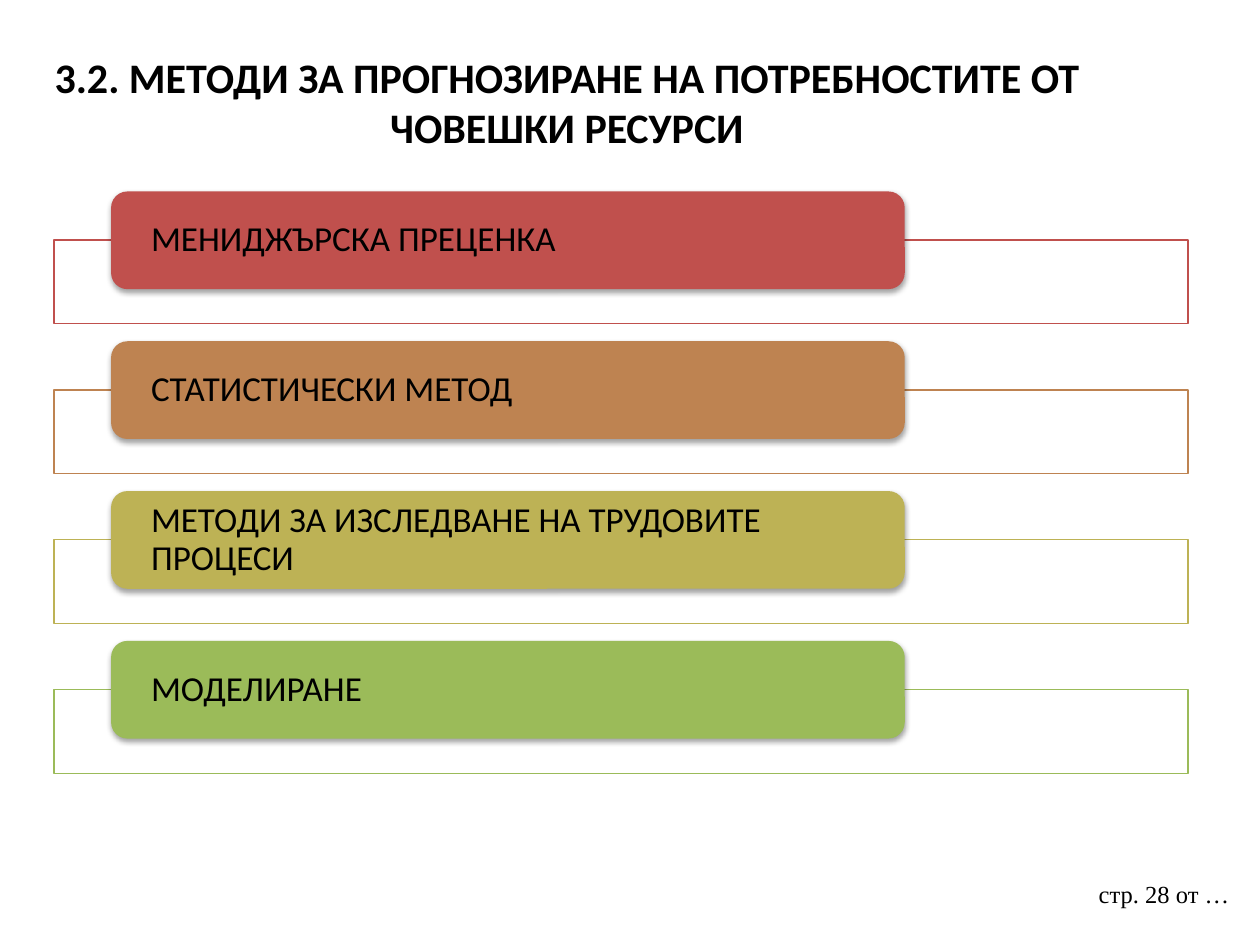
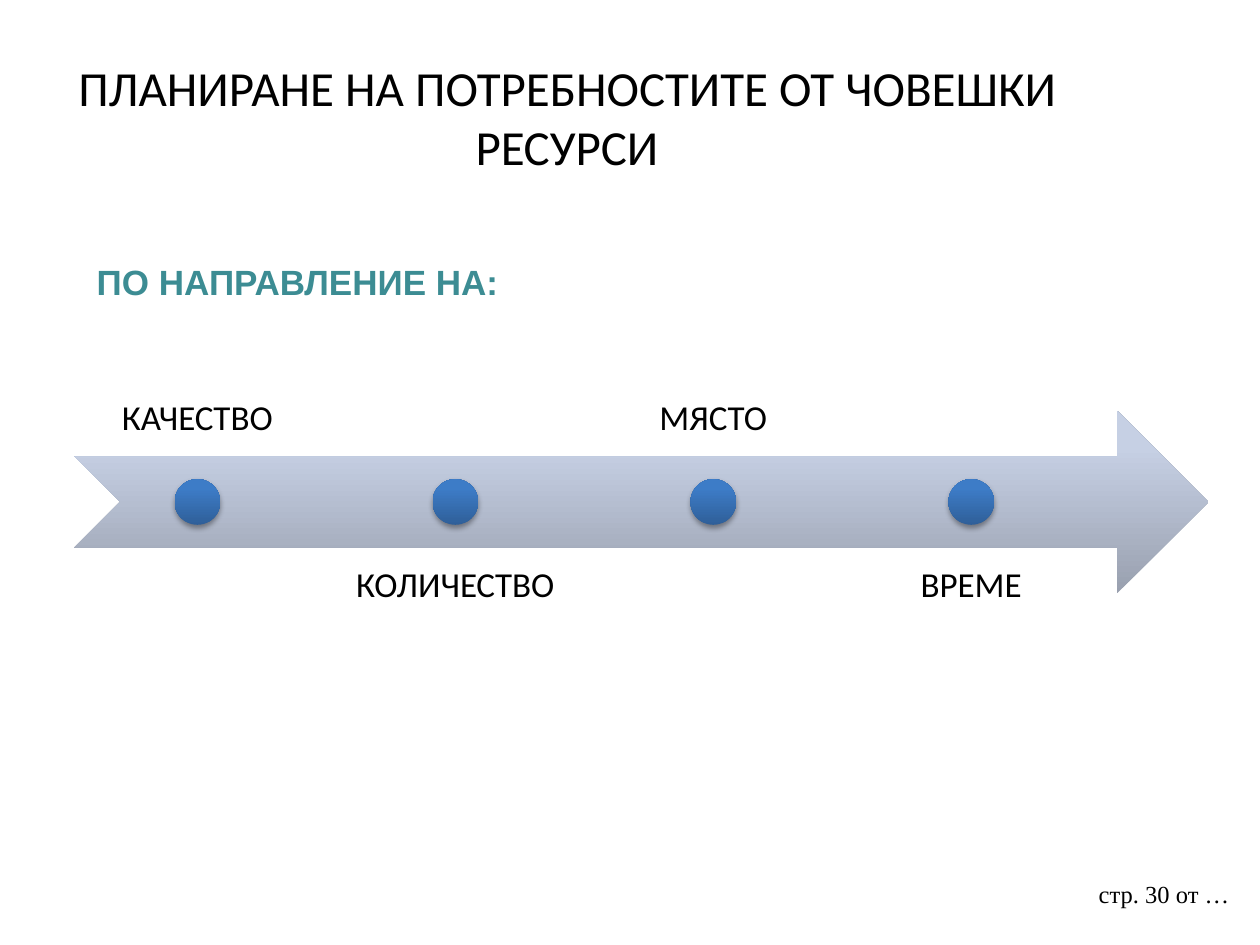
from pptx import Presentation
from pptx.util import Cm, Pt
from pptx.dml.color import RGBColor
from pptx.enum.shapes import MSO_SHAPE as Kind
from pptx.enum.text import MSO_ANCHOR as Anchor, PP_ALIGN as Align
from pptx.oxml import parse_xml

SHADE = ('<a:effectLst xmlns:a="http://schemas.openxmlformats.org/drawingml/2006/main">'
         '<a:outerShdw blurRad="39370" dist="21590" dir="5400000" rotWithShape="0">'
         '<a:srgbClr val="000000"><a:alpha val="37000"/></a:srgbClr>'
         '</a:outerShdw></a:effectLst>')
rgb = RGBColor.from_string


def write(box, text, size, font="Calibri", color="000000", bold=False,
          align=Align.LEFT, anchor=Anchor.TOP, pad=None, gap=1.0):
    frame = box.text_frame
    frame.word_wrap = True
    frame.vertical_anchor = anchor
    if pad:
        frame.margin_left = frame.margin_right = Cm(pad[0])
        frame.margin_top = frame.margin_bottom = Cm(pad[1])
    frame.text = text
    par = frame.paragraphs[0]
    par.alignment = align
    par.line_spacing = gap
    face = par.runs[0].font
    face.name, face.size, face.bold = font, Pt(size), bold
    face.color.rgb = rgb(color)


def draw(slide, kind, spot, fill, line=None, shade=False):
    shape = slide.shapes.add_shape(kind, *map(Cm, spot))
    shape.shadow.inherit = False
    if shade:
        props = shape._element.spPr
        props.remove(props.effectLst)
        props.append(parse_xml(SHADE))
    if isinstance(fill, str):
        shape.fill.solid()
        shape.fill.fore_color.rgb = rgb(fill)
    else:
        # dark at the bottom, light from 80 % upwards
        shape.fill.gradient()
        shape.fill.gradient_angle = 90
        for stop, tone, place in zip(shape.fill.gradient_stops, fill, (0, 0.8)):
            stop.color.rgb = rgb(tone)
            stop.position = place
    if line:
        shape.line.color.rgb = rgb(line)
        shape.line.width = Pt(0.75)
    else:
        shape.line.fill.background()
    return shape


deck = Presentation()
deck.slide_width, deck.slide_height = Cm(25.4), Cm(19.05)

# Titles and page numbers
heads = [
    ("3.2. МЕТОДИ ЗА ПРОГНОЗИРАНЕ НА ПОТРЕБНОСТИТЕ ОТ ЧОВЕШКИ РЕСУРСИ", 24, True, 2.57, 28),
    ("ПЛАНИРАНЕ НА ПОТРЕБНОСТИТЕ ОТ ЧОВЕШКИ РЕСУРСИ", 28, False, 3.18, 30),
]
slides = []
for text, size, bold, high, page in heads:
    slide = deck.slides.add_slide(deck.slide_layouts[6])
    title = slide.shapes.add_textbox(0, Cm(0.76), Cm(22.86), Cm(high))
    write(title, text, size, bold=bold, align=Align.CENTER, anchor=Anchor.MIDDLE)
    foot = slide.shapes.add_textbox(Cm(21.9), Cm(17.6), Cm(3.3), Cm(1.32))
    write(foot, f"стр. {page} от …", 14, "Times New Roman")
    slides.append(slide)
first, second = slides

# Forecasting methods: a framed bar with a tab on each row
methods = [
    ("МЕНИДЖЪРСКА ПРЕЦЕНКА", "C0504D"),
    ("СТАТИСТИЧЕСКИ МЕТОД", "BE8351"),
    ("МЕТОДИ ЗА ИЗСЛЕДВАНЕ НА ТРУДОВИТЕ ПРОЦЕСИ", "BDB255"),
    ("МОДЕЛИРАНЕ", "9BBB59"),
]
for row, (text, color) in enumerate(methods):
    top = 3.86 + row * 3.02
    draw(first, Kind.RECTANGLE, (1.09, top + 0.98, 22.86, 1.69), "FFFFFF", line=color)
    tab = draw(first, Kind.ROUNDED_RECTANGLE, (2.24, top, 16, 1.97), color, shade=True)
    write(tab, text, 20, anchor=Anchor.MIDDLE, pad=(0.71, 0.1), gap=0.9)

# Planning directions: arrow with dots, labels above and below in turn
draw(second, Kind.NOTCHED_RIGHT_ARROW, (1.5, 8.28, 22.86, 3.68), ("99A0AF", "C6D0E4"))
for step, text in enumerate(["КАЧЕСТВО", "КОЛИЧЕСТВО", "МЯСТО", "ВРЕМЕ"]):
    mid = 3.98 + step * 5.2
    top, anchor = (11.05, Anchor.TOP) if step % 2 else (5.54, Anchor.BOTTOM)
    label = second.shapes.add_textbox(Cm(mid - 2.48), Cm(top), Cm(4.96), Cm(3.68))
    write(label, text, 20, align=Align.CENTER, anchor=anchor, pad=(0.4, 0.4), gap=0.9)
    draw(second, Kind.OVAL, (mid - 0.46, 9.66, 0.92, 0.92), ("2F5F99", "3D7CC7"), shade=True)

lead = second.shapes.add_textbox(Cm(1.7), Cm(5.13), Cm(12), Cm(1.12))
write(lead, "ПО НАПРАВЛЕНИЕ НА:", 20, "Arial", "3C8C93", bold=True)

deck.save("out.pptx")
